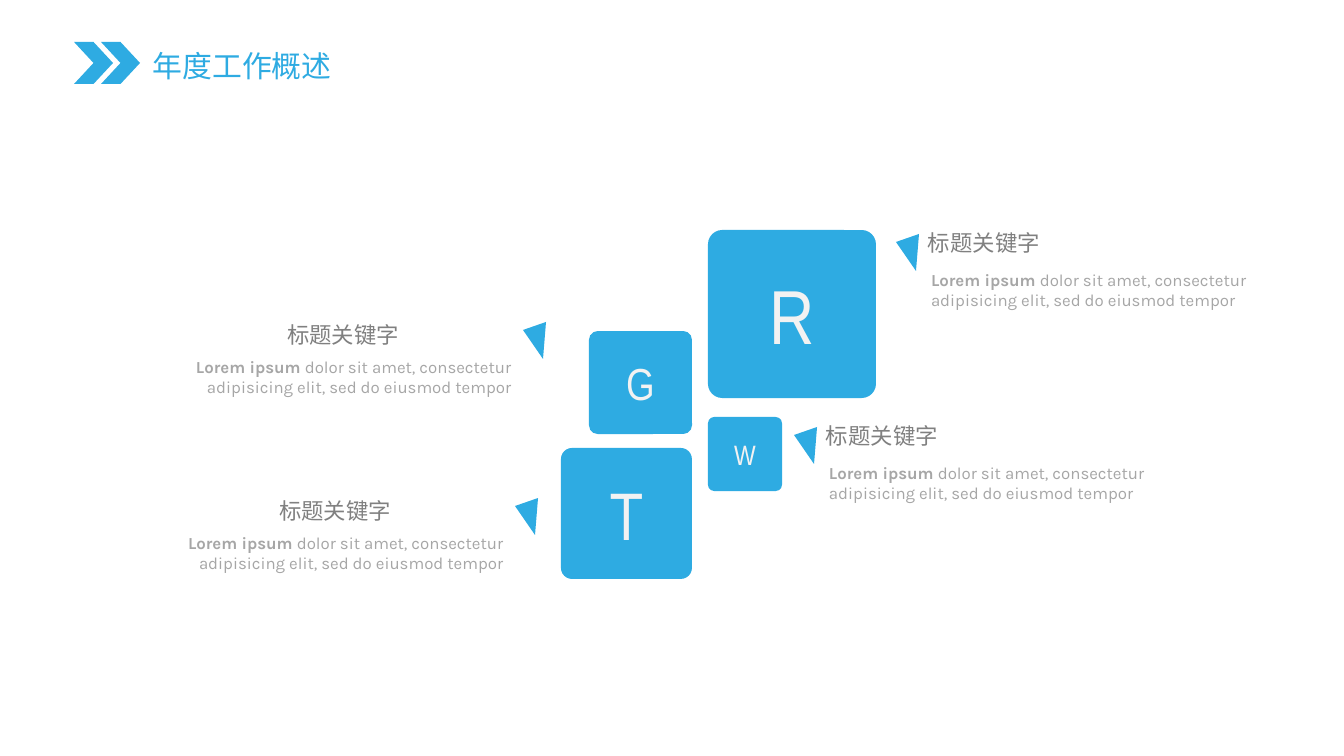
from dataclasses import dataclass

from lxml import etree
from pptx import Presentation
from pptx import util as u
from pptx.dml import color
from pptx.enum import shapes, text
from pptx.oxml import ns

EMU_PER_PX = 914400 / 134.4


@dataclass(frozen=True)
class Theme:
    blue: color.RGBColor = color.RGBColor(0x2E, 0xAB, 0xE2)
    letter: color.RGBColor = color.RGBColor(0xF2, 0xF2, 0xF2)
    heading: color.RGBColor = color.RGBColor(0x80, 0x80, 0x80)
    body: color.RGBColor = color.RGBColor(0xA6, 0xA6, 0xA6)
    title_size: int = 16
    heading_size: int = 12
    body_size: int = 9
    letter_font: str = "Arial Narrow"
    chinese_font: str = "Noto Sans CJK SC"
    body_font: str = "Karla"


@dataclass(frozen=True)
class Box:
    left: int
    top: int
    width: int
    height: int


@dataclass(frozen=True)
class Tile:
    letter: str
    left: int
    top: int
    side: int
    size: int


@dataclass(frozen=True)
class Side:
    heading: Box
    body: Box
    align: text.PP_ALIGN


@dataclass(frozen=True)
class Callout:
    left: int
    top: int
    side: Side


THEME = Theme()
TITLE = "年度工作概述"
HEADING = "标题关键字"
BODY_LEAD = "Lorem ipsum "
BODY_REST = "dolor sit amet, consectetur adipisicing elit, sed do eiusmod tempor"
CHEVRON_LEFTS = (74, 101)
POINTER = ((0, 0), (-3, 37), (-23, 8))
LEFT_SIDE = Side(Box(-268, -6, 237, 38), Box(-408, 30, 382, 51), text.PP_ALIGN.RIGHT)
RIGHT_SIDE = Side(Box(0, -10, 237, 38), Box(3, 31, 355, 51), text.PP_ALIGN.LEFT)
TILES = (
    Tile("G", 589, 331, 103, 24),
    Tile("R", 708, 230, 168, 41),
    Tile("W", 708, 417, 74, 15),
    Tile("T", 561, 448, 131, 36),
)
CALLOUTS = (
    Callout(546, 322, LEFT_SIDE),
    Callout(538, 498, LEFT_SIDE),
    Callout(919, 234, RIGHT_SIDE),
    Callout(817, 427, RIGHT_SIDE),
)


def px(value: int) -> u.Emu:
    return u.Emu(round(value * EMU_PER_PX))


def place(box: Box) -> tuple:
    return px(box.left), px(box.top), px(box.width), px(box.height)


def add_span(para, words: str, size: int, font: str, ink, bold: bool = False) -> None:
    span = para.add_run()
    span.text = words
    span.font.size = u.Pt(size)
    span.font.bold = bold
    span.font.name = font
    span.font.color.rgb = ink
    east_asian = etree.SubElement(span.font._element, ns.qn("a:ea"))
    east_asian.set("typeface", font)


def set_margins(frame, horizontal: int, vertical: int) -> None:
    frame.margin_left = frame.margin_right = px(horizontal)
    frame.margin_top = frame.margin_bottom = px(vertical)


def add_label(page, box: Box, margin: int, wrap: bool = True):
    frame = page.shapes.add_textbox(*place(box)).text_frame
    frame.word_wrap = wrap
    set_margins(frame, margin, 5)
    return frame.paragraphs[0]


def paint(shape) -> None:
    shape.shadow.inherit = False
    shape.fill.solid()
    shape.fill.fore_color.rgb = THEME.blue
    shape.line.fill.background()


def draw_header(page) -> None:
    para = add_label(page, Box(142, 43, 202, 47), 11, wrap=False)
    add_span(para, TITLE, THEME.title_size, THEME.chinese_font, THEME.blue)
    for left in CHEVRON_LEFTS:
        box = Box(left, 42, 39, 42)
        paint(page.shapes.add_shape(shapes.MSO_SHAPE.CHEVRON, *place(box)))


def draw_tile(page, tile: Tile) -> None:
    box = Box(tile.left, tile.top, tile.side, tile.side)
    shape = page.shapes.add_shape(shapes.MSO_SHAPE.ROUNDED_RECTANGLE, *place(box))
    shape.adjustments[0] = 0.085
    paint(shape)
    frame = shape.text_frame
    frame.vertical_anchor = text.MSO_ANCHOR.MIDDLE
    set_margins(frame, 9, 5)
    para = frame.paragraphs[0]
    para.alignment = text.PP_ALIGN.CENTER
    add_span(para, tile.letter, tile.size, THEME.letter_font, THEME.letter)


def draw_callout(page, callout: Callout) -> None:
    def shifted(box: Box) -> Box:
        return Box(callout.left + box.left, callout.top + box.top, box.width, box.height)

    para = add_label(page, shifted(callout.side.heading), 9)
    add_span(para, HEADING, THEME.heading_size, THEME.chinese_font, THEME.heading)

    para = add_label(page, shifted(callout.side.body), 9)
    para.alignment = callout.side.align
    para.space_after = u.Pt(4.5)
    add_span(para, BODY_LEAD, THEME.body_size, THEME.body_font, THEME.body, bold=True)
    add_span(para, BODY_REST, THEME.body_size, THEME.body_font, THEME.body)

    corners = [(px(callout.left + x), px(callout.top + y)) for x, y in POINTER]
    outline = page.shapes.build_freeform(*corners[0])
    outline.add_line_segments(corners[1:], close=True)
    paint(outline.convert_to_shape())


def main() -> None:
    deck = Presentation()
    deck.slide_width, deck.slide_height = px(1344), px(756)
    page = deck.slides.add_slide(deck.slide_layouts[6])
    draw_header(page)
    for tile in TILES:
        draw_tile(page, tile)
    for callout in CALLOUTS:
        draw_callout(page, callout)
    deck.save("out.pptx")


if __name__ == "__main__":
    main()
